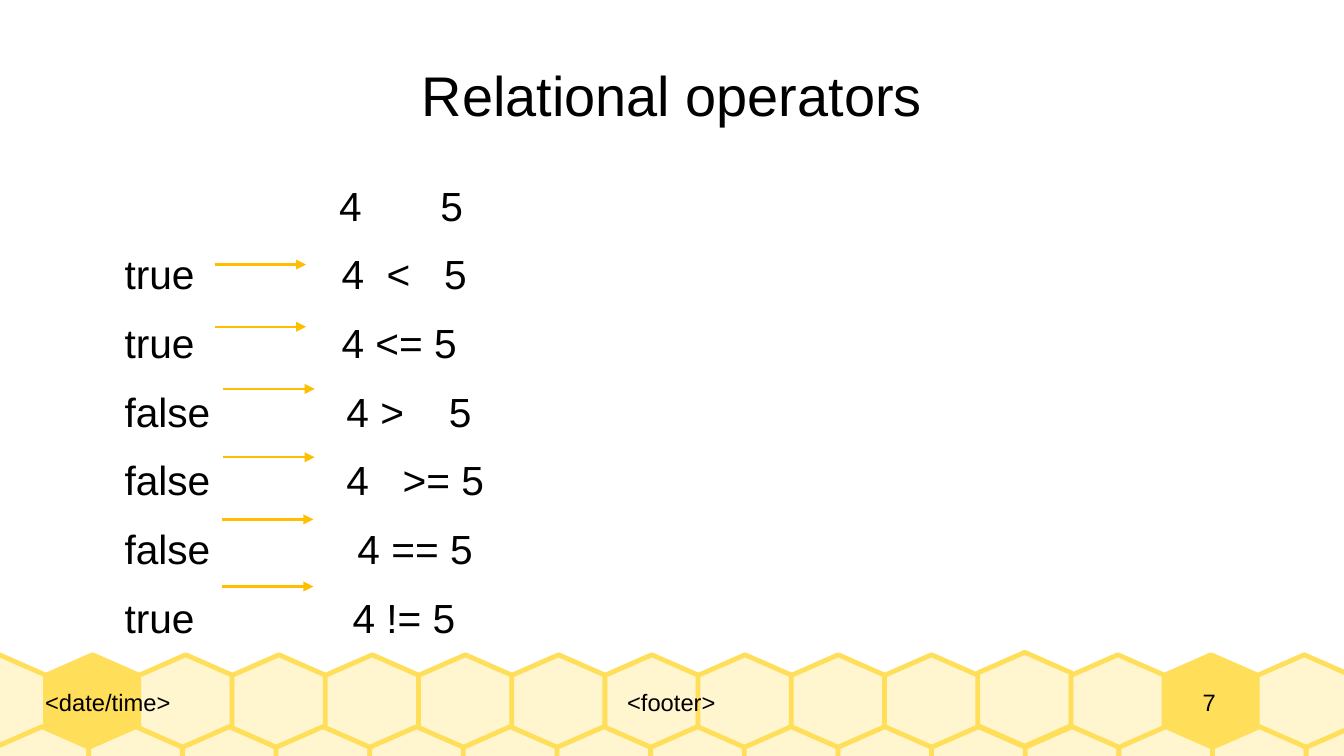
import pptx
import pptx.dml.color
import pptx.enum.shapes
import pptx.enum.text
import pptx.oxml
import pptx.oxml.ns
import pptx.util
from dataclasses import dataclass

# Content
TITLE = "Relational operators"
# Result, then (tab stop in inches, text) for each part of the comparison
COMPARISONS = [
    ("", [(1.76, "4"), (2.59, "5")]),
    ("true", [(1.78, "4"), (2.15, "<"), (2.62, "5")]),
    ("true", [(1.78, "4 <= 5")]),
    ("false", [(1.82, "4 >"), (2.66, "5")]),
    ("false", [(1.82, "4"), (2.28, ">= 5")]),
    ("false", [(1.91, "4 == 5")]),
    ("true", [(1.87, "4 != 5")]),
]
# Start of the arrow beside each result
ARROWS = [(1.76, 2.17), (1.76, 2.68), (1.83, 3.19),
          (1.83, 3.75), (1.82, 4.26), (1.82, 4.81)]
ARROW_LENGTH = 0.75
# Text, left, width, centred
FOOTER = [("<date/time>", 0.37, 2.63, False),
          ("<footer>", 3.0, 5.01, True),
          ("7", 9.29, 1.25, True)]


@dataclass(frozen=True)
class Theme:
    font: str = "Arial"
    ink: str = "000000"
    paper: str = "FFFFFF"
    honey: str = "FFDE59"
    cream: str = "FFF5CE"
    arrow: str = "FFBF00"
    title_size: float = 33
    body_size: float = 24
    footer_size: float = 14
    cell_line: float = 2.83
    arrow_line: float = 1.42
    row_gap: float = 11.75


# Layout
WIDTH, HEIGHT = 11.02, 6.2
MARGIN = WIDTH * 0.05
COLUMN = WIDTH - 2 * MARGIN
CELL = 0.77
CELL_COUNT = 15
UPPER_TOP, LOWER_TOP = 5.37, 5.96
# First left, last left, top of each row of the honeycomb
HONEYCOMB = [(-0.39, 10.31, UPPER_TOP), (-0.04, 10.71, LOWER_TOP)]
FILLED_CELLS = {(0, 1), (0, 13)}
RAISED_CELL = (0, 11)
HEXAGON = [(0.5, 0), (0, 0.22), (0, 0.78), (0.5, 1), (1, 0.78), (1, 0.22)]

theme = Theme()
inch = pptx.util.Inches


def rgb(value):
    return pptx.dml.color.RGBColor.from_string(value)


def add_run(paragraph, text, size):
    run = paragraph.add_run()
    run.text = text
    run.font.name = theme.font
    run.font.size = pptx.util.Pt(size)
    run.font.color.rgb = rgb(theme.ink)


def prepare(frame, anchor):
    frame.margin_left = frame.margin_right = 0
    frame.margin_top = frame.margin_bottom = 0
    frame.word_wrap = True
    frame.auto_size = pptx.enum.text.MSO_AUTO_SIZE.NONE
    frame.vertical_anchor = anchor


def add_text_box(slide, left, top, width, height, anchor):
    box = slide.shapes.add_textbox(inch(left), inch(top), inch(width), inch(height))
    prepare(box.text_frame, anchor)
    return box.text_frame


def add_cell(slide, left, top, fill):
    points = [(inch(left + CELL * x), inch(top + CELL * y)) for x, y in HEXAGON]
    builder = slide.shapes.build_freeform(*points[0], scale=1.0)
    builder.add_line_segments(points[1:], close=True)
    cell = builder.convert_to_shape()
    cell.shadow.inherit = False
    cell.fill.solid()
    cell.fill.fore_color.rgb = rgb(fill)
    cell.line.color.rgb = rgb(theme.honey)
    cell.line.width = pptx.util.Pt(theme.cell_line)


def add_arrow(slide, x, y):
    arrow = slide.shapes.add_connector(
        pptx.enum.shapes.MSO_CONNECTOR.STRAIGHT,
        inch(x), inch(y), inch(x + ARROW_LENGTH), inch(y))
    arrow.line.color.rgb = rgb(theme.arrow)
    arrow.line.width = pptx.util.Pt(theme.arrow_line)
    head = pptx.oxml.parse_xml(
        f'<a:tailEnd {pptx.oxml.ns.nsdecls("a")} type="triangle"/>')
    arrow.line._get_or_add_ln().append(head)
    arrow._element.spPr.append(
        pptx.oxml.parse_xml(f'<a:effectLst {pptx.oxml.ns.nsdecls("a")}/>'))


def add_tab_stops(paragraph, stops):
    tabs = "".join(f'<a:tab pos="{inch(stop)}" algn="l"/>' for stop in stops)
    paragraph._p.get_or_add_pPr().append(pptx.oxml.parse_xml(
        f'<a:tabLst {pptx.oxml.ns.nsdecls("a")}>{tabs}</a:tabLst>'))


def main():
    middle = pptx.enum.text.MSO_ANCHOR.MIDDLE
    center = pptx.enum.text.PP_ALIGN.CENTER
    deck = pptx.Presentation()
    deck.slide_width, deck.slide_height = inch(WIDTH), inch(HEIGHT)
    slide = deck.slides.add_slide(deck.slide_layouts[5])
    slide.background.fill.solid()
    slide.background.fill.fore_color.rgb = rgb(theme.paper)

    # Title
    title = slide.shapes.title
    title.left, title.top = inch(MARGIN), inch(0.25)
    title.width, title.height = inch(COLUMN), inch(1.04)
    prepare(title.text_frame, middle)
    heading = title.text_frame.paragraphs[0]
    heading.alignment = center
    add_run(heading, TITLE, theme.title_size)

    # Honeycomb band
    for row, (first, last, top) in enumerate(HONEYCOMB):
        pitch = (last - first) / (CELL_COUNT - 1)
        for column in range(CELL_COUNT):
            place = (row, column)
            lift = 0.02 if place == RAISED_CELL else 0
            fill = theme.honey if place in FILLED_CELLS else theme.cream
            add_cell(slide, first + column * pitch, top - lift, fill)

    # Footer
    for text, left, width, centred in FOOTER:
        frame = add_text_box(slide, left, UPPER_TOP, width, CELL, middle)
        note = frame.paragraphs[0]
        if centred:
            note.alignment = center
        add_run(note, text, theme.footer_size)

    # Comparisons
    frame = add_text_box(slide, MARGIN, 1.45, COLUMN, 3.6,
                         pptx.enum.text.MSO_ANCHOR.TOP)
    frame.margin_left, frame.margin_top = inch(0.47), inch(0.03)
    for index, (result, parts) in enumerate(COMPARISONS):
        line = frame.add_paragraph() if index else frame.paragraphs[0]
        add_tab_stops(line, [stop for stop, _ in parts])
        line.space_after = pptx.util.Pt(theme.row_gap)
        text = "\t".join([result] + [part for _, part in parts])
        add_run(line, text, theme.body_size)

    # Arrows
    for x, y in ARROWS:
        add_arrow(slide, x, y)

    deck.save("out.pptx")


if __name__ == "__main__":
    main()
